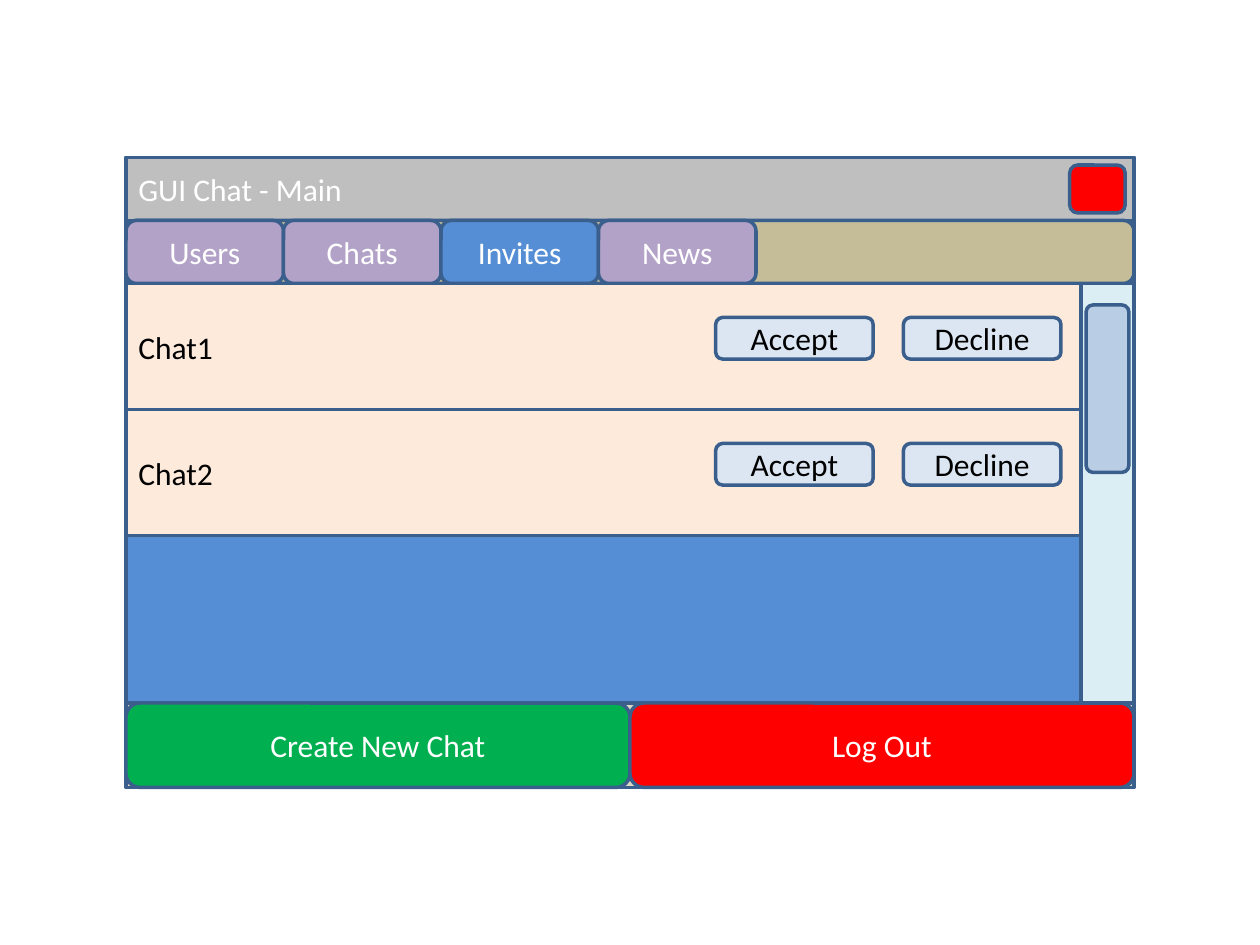
from pptx import Presentation
from pptx.dml.color import RGBColor
from pptx.enum.shapes import MSO_SHAPE
from pptx.enum.text import MSO_ANCHOR, PP_ALIGN
from pptx.util import Inches, Pt

COLORS = {
    "edge": "3A5F8C", "white": "FFFFFF", "black": "000000",
    "frame": "DDD9C3", "title": "BFBFBF", "red": "FF0000",
    "green": "00B050", "blue": "558ED5", "strip": "C4BD97",
    "tab": "B3A2C7", "track": "DBEEF4", "thumb": "B9CDE5",
    "row": "FDEADA", "button": "DCE6F2",
}


def color(name):
    return RGBColor.from_string(COLORS[name])


class Window:
    font = {"name": "Calibri", "size": Pt(18)}
    frame = {"word_wrap": True, "vertical_anchor": MSO_ANCHOR.MIDDLE}

    def __init__(self, slide):
        self.slide = slide

    def apply(self, target, values):
        for key, value in values.items():
            setattr(target, key, value)

    def draw(self, kind, box, fill, text, ink, align):
        shape = self.slide.shapes.add_shape(kind, *map(Inches, box))
        shape.shadow.inherit = False
        shape.fill.solid()
        shape.fill.fore_color.rgb = color(fill)
        shape.line.color.rgb = color("edge")
        shape.line.width = Pt(2)
        if text:
            self.apply(shape.text_frame, self.frame)
            para = shape.text_frame.paragraphs[0]
            para.alignment = align
            run = para.add_run()
            run.text = text
            self.apply(run.font, self.font)
            run.font.color.rgb = color(ink)

    def panel(self, box, fill, text="", ink="white"):
        self.draw(MSO_SHAPE.RECTANGLE, box, fill, text, ink, PP_ALIGN.LEFT)

    def button(self, box, fill, text="", ink="white"):
        self.draw(MSO_SHAPE.ROUNDED_RECTANGLE, box, fill, text, ink, PP_ALIGN.CENTER)


deck = Presentation()
deck.slide_width, deck.slide_height = Inches(10), Inches(7.5)
window = Window(deck.slides.add_slide(deck.slide_layouts[6]))

window.panel((1, 1.25, 8, 5), "frame")
window.panel((1, 1.25, 8, 0.5), "title", "GUI Chat - Main")
window.button((8.49, 1.31, 0.44, 0.38), "red")
window.panel((1, 1.75, 8, 3.83), "blue")
window.button((1, 1.75, 8, 0.5), "strip")

for i, name in enumerate(("Users", "Chats", "Invites", "News")):
    fill = "blue" if name == "Invites" else "tab"
    window.button((1 + 1.25 * i, 1.75, 1.25, 0.5), fill, name)

window.panel((8.58, 2.25, 0.42, 3.33), "track")
window.button((8.62, 2.42, 0.34, 1.33), "thumb")

for i, (name, fill) in enumerate((("Create New Chat", "green"), ("Log Out", "red"))):
    window.button((1 + 4 * i, 5.58, 4, 0.67), fill, name)

for i, name in enumerate(("Chat1", "Chat2")):
    top = 2.25 + i
    window.panel((1, top, 7.58, 1), "row", name, "black")
    for left, label in ((5.68, "Accept"), (7.17, "Decline")):
        window.button((left, top + 0.27, 1.25, 0.33), "button", label, "black")

deck.save("out.pptx")
